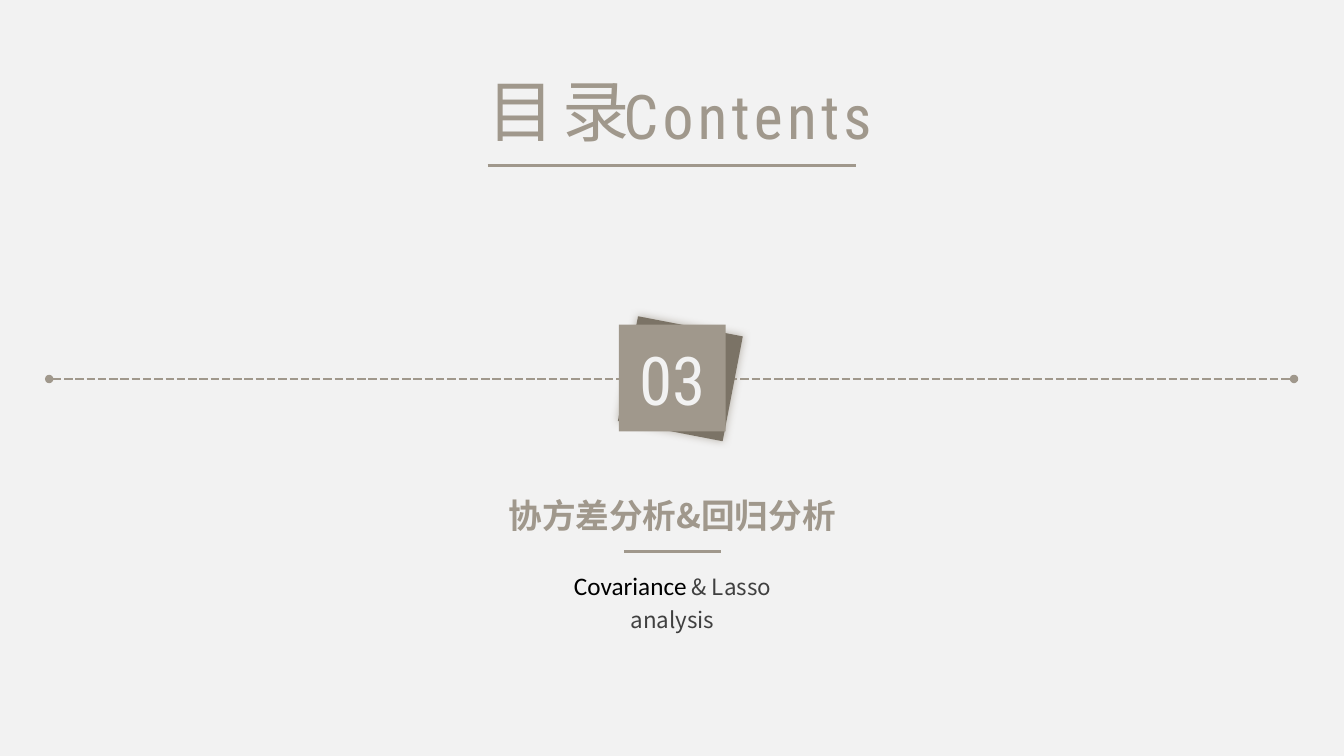
"""Build the section slide that opens part 03 of the contents."""
from pptx import Presentation
from pptx.dml.color import RGBColor
from pptx.enum.dml import MSO_LINE
from pptx.enum.shapes import MSO_CONNECTOR, MSO_SHAPE
from pptx.enum.text import MSO_ANCHOR, MSO_AUTO_SIZE, PP_ALIGN
from pptx.oxml.ns import qn
from pptx.util import Cm, Pt
from lxml.etree import SubElement

TAUPE = RGBColor(0xA0, 0x98, 0x8C)
DARK_TAUPE = RGBColor(0x7B, 0x73, 0x66)
PALE = RGBColor(0xF2, 0xF2, 0xF2)
BLACK = RGBColor(0, 0, 0)
CHARCOAL = RGBColor(0x40, 0x40, 0x40)
CHINESE, CONDENSED, LATIN = "Noto Sans CJK SC", "Roboto Condensed", "Calibri"

TITLE = ((11.66, 1.63, 4.83, 2.31), [("目录", CHINESE, 48, TAUPE, False, 6)], 1, 0)
TEXTS = [
    ((14.78, 1.83, 8.13, 2.13), [("Contents", CONDENSED, 44, TAUPE, False, 3)], 1, 0),
    ((15.85, 8.41, 2.21, 2.31), [("03", CONDENSED, 48, PALE, False, 0)], 1, 0),
    ((12.01, 12.14, 9.86, 1.5), [("协方差分析&回归分析", CHINESE, 24, TAUPE, True, 0)], 1.2, 0),
    ((13.94, 14.1, 6.02, 2.01), [
        ("Covariance", LATIN, 18, BLACK, False, 0),
        (" & Lasso analysis", CHINESE, 16, CHARCOAL, False, 0),
    ], 1.2, 3),
]
TIMELINE = (1.24, 32.61, 9.55, 2)
RULES = [(12.29, 21.56, 4.17, 2.5), (15.72, 18.16, 13.89, 2)]
SQUARE_SIDE = 2.69
SQUARES = [(15.8, 8.2, 10.9, DARK_TAUPE), (15.6, 8.18, 0, TAUPE)]


def fill_text(shape, box, runs, line_spacing, gap):
    shape.left, shape.top, shape.width, shape.height = map(Cm, box)
    frame = shape.text_frame
    frame.auto_size = MSO_AUTO_SIZE.NONE
    frame.word_wrap = True
    frame.vertical_anchor = MSO_ANCHOR.TOP
    paragraph = frame.paragraphs[0]
    paragraph.alignment = PP_ALIGN.CENTER
    paragraph.line_spacing = line_spacing
    paragraph.space_before = paragraph.space_after = Pt(gap)
    for text, typeface, size, color, bold, spacing in runs:
        run = paragraph.add_run()
        run.text = text
        run.font.name, run.font.size, run.font.bold = typeface, Pt(size), bold
        run.font.color.rgb = color
        properties = run.font._element
        properties.set("spc", str(spacing * 100))
        SubElement(properties, qn("a:ea")).set("typeface", typeface)


def add_rule(slide, start, end, height, weight):
    rule = slide.shapes.add_connector(
        MSO_CONNECTOR.STRAIGHT, Cm(start), Cm(height), Cm(end), Cm(height))
    rule.line.color.rgb = TAUPE
    rule.line.width = Pt(weight)
    SubElement(rule._element.spPr, qn("a:effectLst"))
    return rule


def add_square(slide, left, top, rotation, color):
    side = Cm(SQUARE_SIDE)
    square = slide.shapes.add_shape(MSO_SHAPE.RECTANGLE, Cm(left), Cm(top), side, side)
    square.rotation = rotation
    square.fill.solid()
    square.fill.fore_color.rgb = color
    square.line.fill.background()
    square.shadow.inherit = False
    return square


def add_glow(shape):
    effects = shape._element.spPr.find(qn("a:effectLst"))
    shadow = SubElement(effects, qn("a:outerShdw"), blurRad=str(Pt(6)), dist="0", dir="0")
    color = SubElement(shadow, qn("a:srgbClr"), val=str(TAUPE))
    SubElement(color, qn("a:alpha"), val="70000")


presentation = Presentation()
presentation.slide_width, presentation.slide_height = Cm(33.87), Cm(19.05)
slide = presentation.slides.add_slide(presentation.slide_layouts[5])
slide.background.fill.solid()
slide.background.fill.fore_color.rgb = PALE

fill_text(slide.shapes.title, *TITLE)
timeline = add_rule(slide, *TIMELINE)
timeline.line.dash_style = MSO_LINE.SQUARE_DOT
for end in ("a:headEnd", "a:tailEnd"):
    SubElement(timeline.line._ln, qn(end), type="oval")
for rule in RULES:
    add_rule(slide, *rule)
back_square, front_square = [add_square(slide, *square) for square in SQUARES]
add_glow(back_square)
for text in TEXTS:
    fill_text(slide.shapes.add_textbox(0, 0, 0, 0), *text)

presentation.save("out.pptx")
